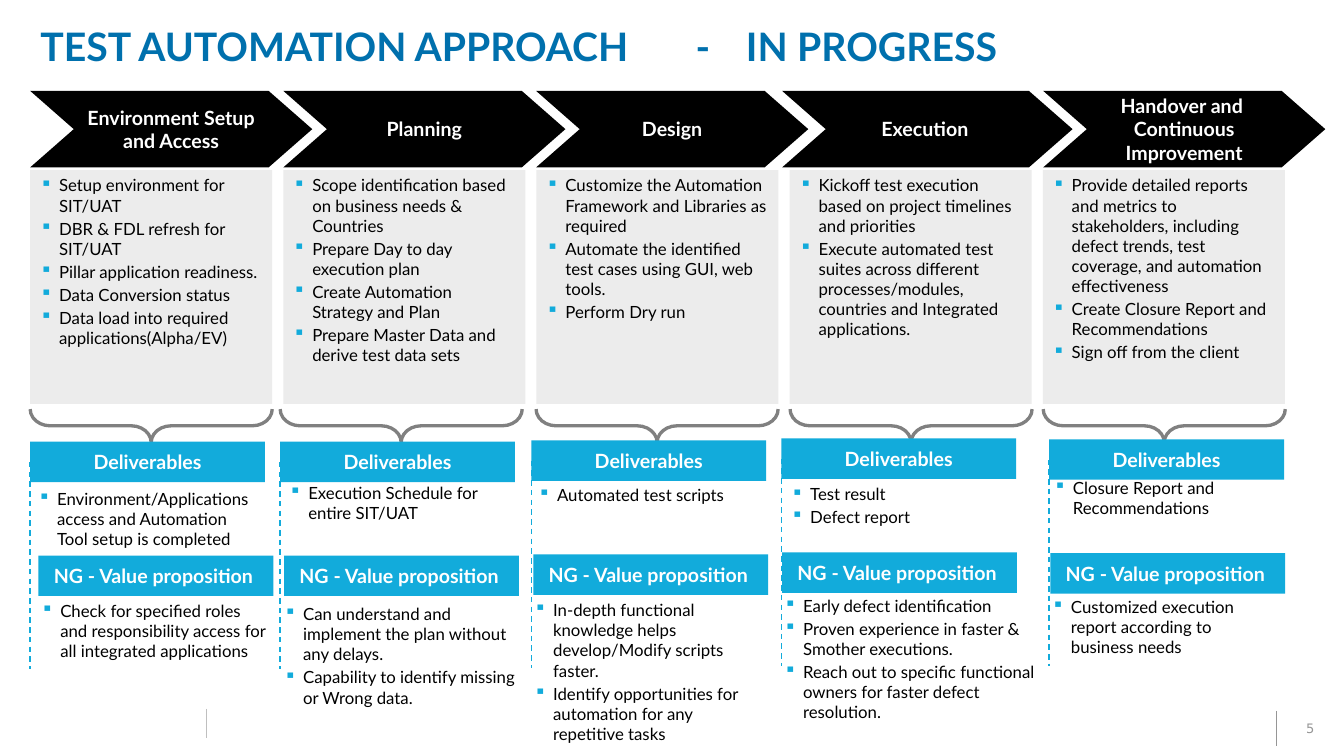
from lxml.etree import SubElement
from pptx import Presentation
from pptx.dml.color import RGBColor
from pptx.enum.dml import MSO_LINE
from pptx.enum.shapes import MSO_CONNECTOR, MSO_SHAPE
from pptx.enum.text import MSO_ANCHOR, PP_ALIGN
from pptx.oxml.ns import qn
from pptx.util import Cm, Pt

COLORS = {
    "title": "0070AD", "accent": "12ABDB", "black": "000000", "white": "FFFFFF",
    "panel": "ECECEC", "brace": "808080", "rule": "BFBFBF", "number": "969696",
}
TITLE = "TEST AUTOMATION APPROACH \t\t-\tIN PROGRESS"
PAGE_NUMBER = "5"
DELIVERABLES = "Deliverables"
VALUE = "NG - Value proposition "

PHASES = [
    {
        "name": ["Environment Setup and Access"],
        "chevron": (0.76, 7.11), "brace": 0.76, "label": (0.76, 11.13), "value_label": 0.97,
        "steps": ["Setup environment for SIT/UAT", "DBR & FDL refresh for SIT/UAT",
                  "Pillar application readiness.", "Data Conversion status",
                  "Data load into required applications(Alpha/EV)"],
        "outputs": ["Environment/Applications access and Automation Tool setup is completed"],
        "outputs_box": (0.71, 12.19, 6.1, 1.8),
        "values": ["Check for specified roles and responsibility access for all integrated applications"],
        "values_box": (0.79, 15.01, 6.27, 2.31),
    },
    {
        "name": ["Planning"],
        "chevron": (7.14, 7.11), "brace": 7.06, "label": (7.06, 11.13), "value_label": 7.16,
        "steps": ["Scope identification based on business needs & Countries",
                  "Prepare Day to day execution plan", "Create Automation Strategy and Plan",
                  "Prepare Master Data and derive test data sets"],
        "outputs": ["Execution Schedule for entire SIT/UAT"],
        "outputs_box": (7.04, 12.04, 6.1, 1.85),
        "values": ["Can understand and implement the plan without any delays.",
                   "Capability to identify missing or Wrong data."],
        "values_box": (6.91, 15.09, 6.4, 2.9),
    },
    {
        "name": ["Design"],
        "chevron": (13.51, 6.86), "brace": 13.51, "label": (13.39, 11.1), "value_label": 13.44,
        "steps": ["Customize the Automation Framework and Libraries as required",
                  "Automate the identified test cases using GUI, web tools.", "Perform Dry run"],
        "outputs": ["Automated test scripts"],
        "outputs_box": (13.31, 12.09, 6.1, 1.35),
        "values": ["In-depth functional knowledge helps develop/Modify scripts faster.",
                   "Identify opportunities for automation for any repetitive tasks"],
        "values_box": (13.21, 14.99, 6.25, 3.91),
    },
    {
        "name": ["Execution "],
        "chevron": (19.71, 7.32), "brace": 19.91, "label": (19.69, 11.05), "value_label": 19.71,
        "steps": ["Kickoff test execution based on project timelines and priorities",
                  "Execute automated test suites across different processes/modules, "
                  "countries and Integrated applications."],
        "outputs": ["Test result", "Defect report"],
        "outputs_box": (19.69, 12.07, 6.1, 1.35),
        "values": ["Early defect identification", "Proven experience in faster & Smother executions.",
                   "Reach out to specific functional owners for faster defect resolution."],
        "values_box": (19.51, 14.88, 7.11, 3.48),
    },
    {
        "name": ["Handover and ", "Continuous Improvement"],
        "chevron": (26.29, 7.11), "brace": 26.29, "label": (26.44, 11.07), "value_label": 26.47,
        "steps": ["Provide detailed reports and metrics to stakeholders, including defect trends, "
                  "test coverage, and automation effectiveness",
                  "Create Closure Report and Recommendations", "Sign off from the client"],
        "outputs": ["Closure Report and Recommendations"],
        "outputs_box": (26.31, 11.91, 6.1, 1.85),
        "values": ["Customized execution report according to business needs"],
        "values_box": (26.26, 14.91, 6.15, 2.39),
    },
]
PANEL_LEFT, PANEL_STEP, PANEL_WIDTH = 0.76, 6.38, 6.1
BRACE_TOP, BRACE_HEIGHT = 10.31, 0.84
LABEL_WIDTH, LABEL_HEIGHT, VALUE_DROP = 5.92, 1.02, 2.87


def rgb(name):
    return RGBColor.from_string(COLORS[name])


def write(box, lines, size, color, bold=False, align=None, anchor=MSO_ANCHOR.TOP, font="Lato"):
    frame = box.text_frame
    frame.word_wrap = True
    frame.vertical_anchor = anchor
    frame.text = "\n".join(lines)
    for para in frame.paragraphs:
        para.alignment = align
        for span in para.runs:
            span.font.size = Pt(size)
            span.font.name = font
            span.font.bold = bold
            span.font.color.rgb = rgb(color)
    return frame


def add_box(page, kind, area, fill=None):
    box = page.shapes.add_shape(kind, *map(Cm, area))
    box.shadow.inherit = False
    box.line.fill.background()
    if fill:
        box.fill.solid()
        box.fill.fore_color.rgb = rgb(fill)
    else:
        box.fill.background()
    return box


def add_bullets(page, kind, area, lines, fill=None):
    box = add_box(page, kind, area, fill)
    if kind == MSO_SHAPE.ROUNDED_RECTANGLE:
        box.adjustments[0] = 0
    for para in write(box, lines, 12, "black", align=PP_ALIGN.LEFT).paragraphs:
        para.space_before = Pt(2)
        properties = para._p.get_or_add_pPr()
        properties.set("marL", str(Cm(0.48)))
        properties.set("indent", str(-Cm(0.48)))
        bullet_color = SubElement(properties, qn("a:buClr"))
        SubElement(bullet_color, qn("a:srgbClr")).set("val", COLORS["accent"])
        SubElement(properties, qn("a:buChar")).set("char", "▪")


def add_chevron(page, phase):
    left, width = phase["chevron"]
    box = add_box(page, MSO_SHAPE.CHEVRON, (left, 2.29, width, 1.93), "black")
    box.adjustments[0] = 0.57
    frame = write(box, phase["name"], 14, "white", True, PP_ALIGN.CENTER, MSO_ANCHOR.MIDDLE)
    frame.margin_left = frame.margin_right = 0


def add_brace(page, left):
    offset = (PANEL_WIDTH - BRACE_HEIGHT) / 2
    area = (left + offset, BRACE_TOP - offset, BRACE_HEIGHT, PANEL_WIDTH)
    brace = add_box(page, MSO_SHAPE.RIGHT_BRACE, area)
    brace.rotation = 90
    brace.adjustments[0] = 0.6
    brace.line.color.rgb = rgb("brace")
    brace.line.width = Pt(2.38)


def add_label(page, left, top, text):
    box = add_box(page, MSO_SHAPE.RECTANGLE, (left, top, LABEL_WIDTH, LABEL_HEIGHT), "accent")
    frame = write(box, [text], 14, "white", True, PP_ALIGN.CENTER, MSO_ANCHOR.MIDDLE)
    frame.word_wrap = False


def add_rule(page, left, top, bottom, color, width=1.0, dash=None):
    rule = page.shapes.add_connector(
        MSO_CONNECTOR.STRAIGHT, Cm(left), Cm(top), Cm(left), Cm(bottom))
    rule.line.color.rgb = rgb(color)
    rule.line.width = Pt(width)
    if dash:
        rule.line.dash_style = dash
    SubElement(rule._element.spPr, qn("a:effectLst"))


def main():
    deck = Presentation()
    deck.slide_width, deck.slide_height = Cm(33.87), Cm(19.05)
    page = deck.slides.add_slide(deck.slide_layouts[6])

    add_rule(page, 32.18, 17.91, 18.8, "number", 0.75)
    add_rule(page, 5.21, 17.86, 18.59, "rule")
    number = page.shapes.add_textbox(Cm(32.18), Cm(17.91), Cm(1.68), Cm(0.89))
    write(number, [PAGE_NUMBER], 9.3, "number", align=PP_ALIGN.CENTER,
          anchor=MSO_ANCHOR.MIDDLE, font="DejaVu Sans")

    title = page.shapes.add_textbox(Cm(1.02), Cm(0.69), Cm(30.58), Cm(1.07))
    frame = write(title, [TITLE], 28, "title", True, anchor=MSO_ANCHOR.MIDDLE)
    frame.margin_left = frame.margin_right = frame.margin_top = frame.margin_bottom = 0
    frame.paragraphs[0].line_spacing = 0.9

    for column, phase in enumerate(PHASES):
        add_chevron(page, phase)
        panel = (PANEL_LEFT + column * PANEL_STEP, 4.29, PANEL_WIDTH, 5.89)
        add_bullets(page, MSO_SHAPE.RECTANGLE, panel, phase["steps"], "panel")
        add_brace(page, phase["brace"])
        for part in ("outputs", "values"):
            add_bullets(page, MSO_SHAPE.ROUNDED_RECTANGLE, phase[part + "_box"], phase[part])
        left, top = phase["label"]
        add_label(page, left, top, DELIVERABLES)
        add_rule(page, left, top + LABEL_HEIGHT / 2, top + 5.72, "accent", dash=MSO_LINE.DASH)
        add_label(page, phase["value_label"], top + VALUE_DROP, VALUE)

    deck.save("out.pptx")


if __name__ == "__main__":
    main()
